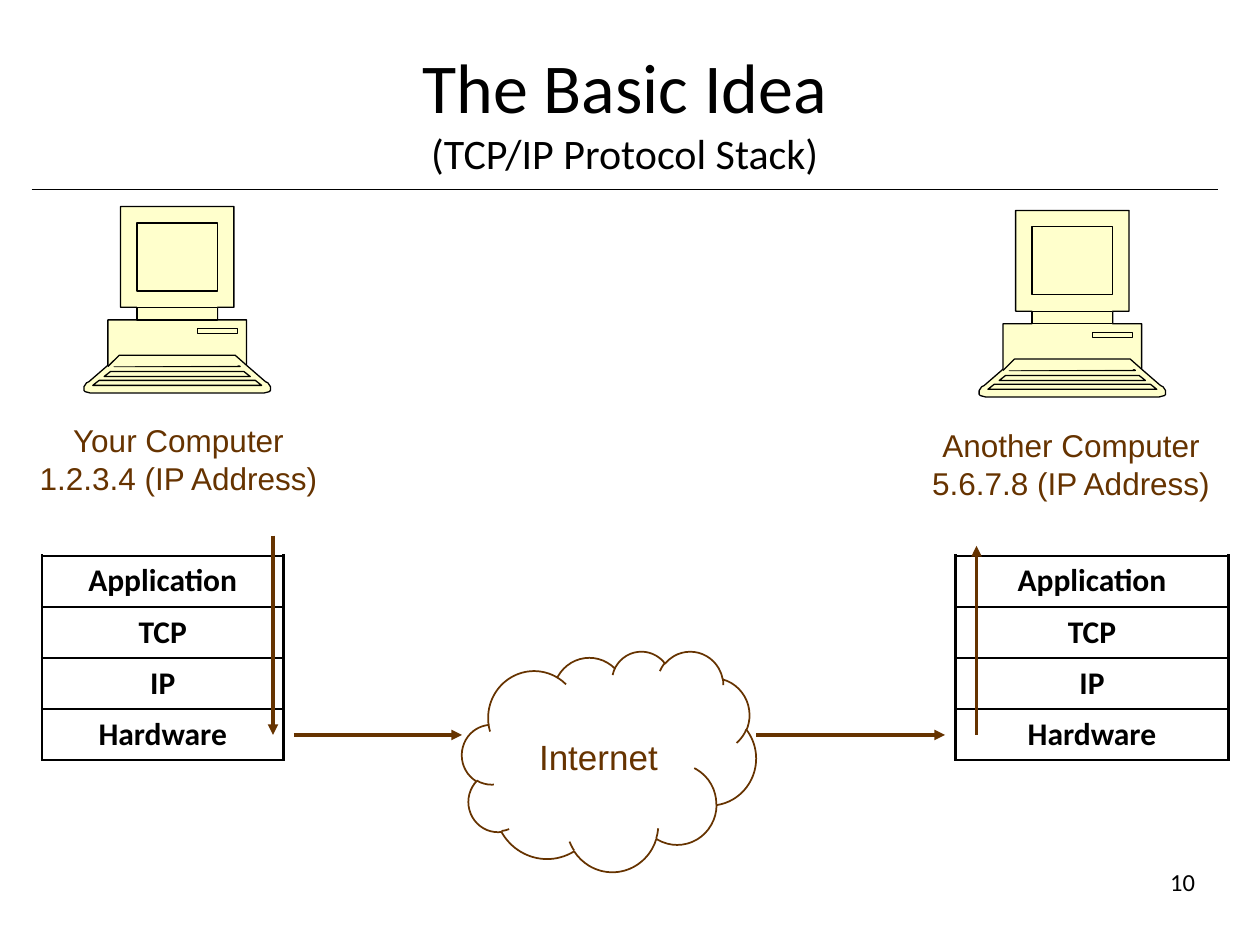
from copy import deepcopy

from lxml.etree import SubElement
from pptx import Presentation
from pptx.dml.color import RGBColor
from pptx.enum.shapes import MSO_CONNECTOR, MSO_SHAPE
from pptx.enum.text import MSO_ANCHOR, PP_ALIGN
from pptx.oxml.ns import qn
from pptx.util import Pt

BLACK = RGBColor(0x00, 0x00, 0x00)
BROWN = RGBColor(0x66, 0x33, 0x00)
CREAM = RGBColor(0xFF, 0xFF, 0xCC)


def write(frame, text, size=18, font="Calibri", color=BLACK, bold=False,
          align=PP_ALIGN.CENTER, anchor=MSO_ANCHOR.TOP):
    frame.word_wrap = True
    frame.vertical_anchor = anchor
    frame.text = text
    for para in frame.paragraphs:
        para.alignment = align
        for run in para.runs:
            run.font.size = Pt(size)
            run.font.name = font
            run.font.bold = bold
            run.font.color.rgb = color


def draw_line(start, end, color, width, arrow=False):
    line = slide.shapes.add_connector(
        MSO_CONNECTOR.STRAIGHT, *[Pt(n) for n in start + end])
    line.line.color.rgb = color
    line.line.width = Pt(width)
    if arrow:
        SubElement(line.line._get_or_add_ln(), qn("a:tailEnd"), type="triangle")
    SubElement(line._element.spPr, qn("a:effectLst"))


prs = Presentation()
prs.slide_width, prs.slide_height = Pt(720), Pt(540)
slide = prs.slides.add_slide(prs.slide_layouts[6])

# Title, rule and page number
draw_line((18, 108), (696, 108), BLACK, 0.5)
title = slide.shapes.add_textbox(Pt(24), Pt(18), Pt(666), Pt(87)).text_frame
write(title, "The Basic Idea\v(TCP/IP Protocol Stack)", size=40,
      anchor=MSO_ANCHOR.BOTTOM)
title.paragraphs[0].runs[1].font.size = Pt(24)
number = slide.shapes.add_textbox(Pt(540), Pt(486), Pt(150), Pt(36))
write(number.text_frame, "10", size=14, align=PP_ALIGN.RIGHT,
      anchor=MSO_ANCHOR.MIDDLE)

# Protocol stacks
LAYERS = ["Application", "TCP", "IP", "Hardware"]
ROW = 29.2
for left, width in [(24, 138), (546, 156)]:
    table = slide.shapes.add_table(
        len(LAYERS), 1, Pt(left), Pt(317.5), Pt(width), Pt(ROW * 4)).table
    table.first_row = table.horz_banding = False
    table.columns[0].width = Pt(width)
    for row, layer in enumerate(LAYERS):
        table.rows[row].height = Pt(ROW)
        cell = table.cell(row, 0)
        write(cell.text_frame, layer, bold=True)
        props = cell._tc.get_or_add_tcPr()
        for side in ("a:lnL", "a:lnR", "a:lnT", "a:lnB"):
            edge = SubElement(props, qn(side), w=str(Pt(1.47)))
            fill = SubElement(edge, qn("a:solidFill"))
            SubElement(fill, qn("a:srgbClr"), val=str(BLACK))
        cell.fill.background()

# Path of the data
for start, end in [((156, 306), (156, 420)), ((168, 420), (264, 420)),
                   ((432, 420), (540, 420)), ((558, 420), (558, 312))]:
    draw_line(start, end, BROWN, 2, arrow=True)

# Computers, on a grid of 148 by 148 units that is symmetric left to right
GRID, UNIT = 148, 0.72
half = [(119, 0), (119, 80), (106, 80), (106, 90), (129, 90), (129, 126),
        (144, 139), (146, 140), (148, 143), (148, 146), (147, 147), (143, 148)]
body = half + [(GRID - x, y) for x, y in reversed(half)]
parts = [(body, True)]
for x, top, bottom in [(119, 123, 127), (127, 131, 135), (136, 138, 142)]:
    parts.append(([(x + 5, bottom), (x, top), (GRID - x, top),
                   (GRID - x - 5, bottom)], True))
parts.append(([(129, 126), (120, 118), (28, 118), (19, 127)], False))
for x1, y1, x2, y2 in [(90, 97, 122, 101), (42, 13, 106, 67), (42, 80, 106, 90)]:
    parts.append(([(x1, y1), (x1, y2), (x2, y2), (x2, y1)], True))

for left, top, label_left, label_top, label in [
        (48, 118, 12, 237, "Your Computer\n1.2.3.4 (IP Address)"),
        (559.5, 120.25, 522, 240, "Another Computer\n5.6.7.8 (IP Address)")]:
    pen = slide.shapes.build_freeform(*body[0], scale=Pt(UNIT))
    for index, (points, close) in enumerate(parts):
        if index:
            pen.move_to(*points[0])
        pen.add_line_segments(points[1:], close=close)
    computer = pen.convert_to_shape(Pt(left), Pt(top))
    # One path per part, so that the parts do not cut holes in each other
    path = computer._element.spPr.find(".//" + qn("a:path"))
    steps = list(path)
    for step in steps:
        if step.tag == qn("a:moveTo"):
            split = deepcopy(path)
            split[:] = []
            path.getparent().append(split)
        split.append(step)
    path.getparent().remove(path)
    computer.shadow.inherit = False
    computer.fill.solid()
    computer.fill.fore_color.rgb = CREAM
    computer.line.color.rgb = BLACK
    computer.line.width = Pt(0.75)
    box = slide.shapes.add_textbox(Pt(label_left), Pt(label_top), Pt(180), Pt(50.4))
    write(box.text_frame, label, font="Arial", color=BROWN)

# Internet
cloud = slide.shapes.add_shape(MSO_SHAPE.CLOUD, Pt(264), Pt(372), Pt(168), Pt(126))
cloud.shadow.inherit = False
cloud.fill.background()
cloud.line.color.rgb = BROWN
cloud.line.width = Pt(1)
write(cloud.text_frame, "Internet", size=20, font="Arial", color=BROWN,
      anchor=MSO_ANCHOR.MIDDLE)

prs.save("out.pptx")
